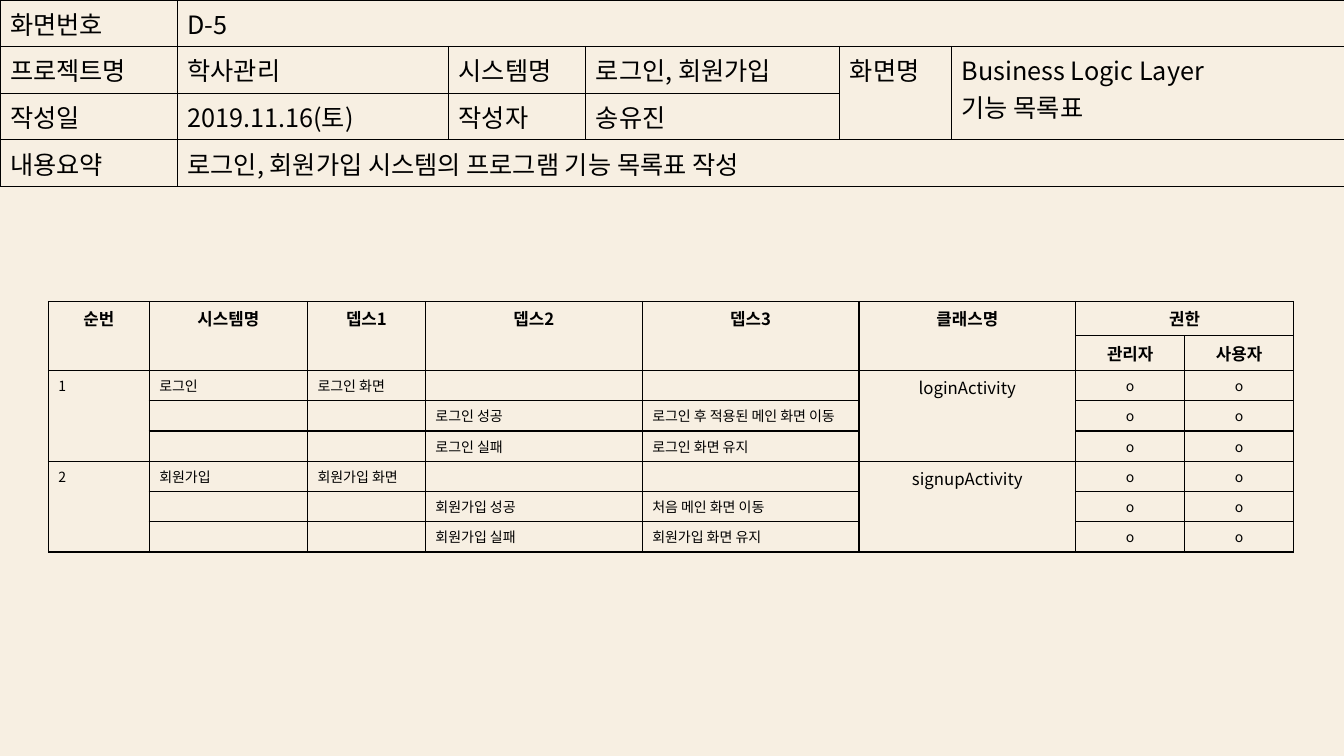
import pptx
import pptx.dml.color
import pptx.enum.text
import pptx.oxml.ns
import pptx.util
from lxml import etree

Inches = pptx.util.Inches
Pt = pptx.util.Pt
CENTER = pptx.enum.text.PP_ALIGN.CENTER
LEFT = pptx.enum.text.PP_ALIGN.LEFT
qn = pptx.oxml.ns.qn

COLORS = {"background": "F7EFE2", "ink": "000000"}
FONT = "Noto Sans CJK KR"


def rgb(name):
    return pptx.dml.color.RGBColor.from_string(COLORS[name])


def write_text(cell, text, size=10, bold=False, align=LEFT):
    """Fill a cell, one paragraph per line; empty cells keep the text size."""
    cell.text_frame.text = text
    for paragraph in cell.text_frame.paragraphs:
        paragraph.alignment = align
        for run in paragraph.runs:
            run.font.size = Pt(size)
            run.font.bold = bold
            run.font.name = FONT
            run.font.color.rgb = rgb("ink")
            etree.SubElement(run.font._element, qn("a:ea"), typeface=FONT)
        if not paragraph.runs:
            etree.SubElement(paragraph._p, qn("a:endParaRPr"), sz=str(size * 100))


def draw_borders(cell, width=1):
    properties = cell._tc.get_or_add_tcPr()
    for position, side in enumerate(("lnL", "lnR", "lnT", "lnB")):
        line = etree.Element(qn(f"a:{side}"), w=str(Pt(width)))
        fill = etree.SubElement(line, qn("a:solidFill"))
        etree.SubElement(fill, qn("a:srgbClr"), val=COLORS["ink"])
        properties.insert(position, line)


def add_grid(slide, left, top, widths, row_height, rows, merges, style):
    """Place a ruled table; style(row, column) gives the text format."""
    grid = slide.shapes.add_table(
        len(rows), len(widths), Inches(left), Inches(top),
        Inches(sum(widths)), Inches(row_height * len(rows))).table
    grid.first_row = grid.horz_banding = False
    for column, width in zip(grid.columns, widths):
        column.width = Inches(width)
    for r, texts in enumerate(rows):
        grid.rows[r].height = Inches(row_height)
        for c, text in enumerate(texts):
            cell = grid.cell(r, c)
            write_text(cell, text, **style(r, c))
            cell.fill.background()
            draw_borders(cell)
    for r, c, row_span, column_span in merges:
        grid.cell(r, c).merge(grid.cell(r + row_span - 1, c + column_span - 1))


def add_document_header(slide, left, top):
    rows = [
        ["화면번호", "D-5", "", "", "", ""],
        ["프로젝트명", "학사관리", "시스템명", "로그인, 회원가입", "화면명",
         "Business Logic Layer\n기능 목록표"],
        ["작성일", "2019.11.16(토)", "작성자", "송유진", "", ""],
        ["내용요약", "로그인, 회원가입 시스템의 프로그램 기능 목록표 작성", "", "", "", ""],
    ]
    merges = [(0, 1, 1, 5), (1, 4, 2, 1), (1, 5, 2, 1), (3, 1, 1, 5)]
    add_grid(slide, left, top, [1.76, 2.69, 1.36, 2.52, 1.11, 3.9], 0.41,
             rows, merges, lambda r, c: {"size": 18})


def add_function_list(slide, left, top):
    rows = [
        ["순번", "시스템명", "뎁스1", "뎁스2", "뎁스3", "클래스명", "권한", ""],
        [""] * 6 + ["관리자", "사용자"],
    ]
    # System, class, and the outcome and next screen of each attempt
    systems = [
        ("로그인", "loginActivity", "로그인 후 적용된 메인 화면 이동"),
        ("회원가입", "signupActivity", "처음 메인 화면 이동"),
    ]
    allowed = ["o", "o"]
    for number, (system, class_name, success_screen) in enumerate(systems, 1):
        rows += [
            [str(number), system, f"{system} 화면", "", "", class_name] + allowed,
            ["", "", "", f"{system} 성공", success_screen, ""] + allowed,
            ["", "", "", f"{system} 실패", f"{system} 화면 유지", ""] + allowed,
        ]
    merges = [(0, c, 2, 1) for c in range(6)] + [(0, 6, 1, 2)]
    merges += [(r, c, 3, 1) for r in (2, 5) for c in (0, 5)]

    def style(r, c):
        if r < 2:
            return {"size": 12, "bold": True, "align": CENTER}
        class_start = c == 5 and rows[r][c]
        return {"size": 12 if class_start else 10,
                "align": CENTER if c >= 5 else LEFT}

    add_grid(slide, left, top, [1, 1.57, 1.17, 2.15, 2.15, 2.15, 1.08, 1.08],
             0.2, rows, merges, style)


def main():
    deck = pptx.Presentation()
    deck.slide_width, deck.slide_height = Inches(13.33), Inches(7.5)
    slide = deck.slides.add_slide(deck.slide_layouts[6])
    slide.background.fill.solid()
    slide.background.fill.fore_color.rgb = rgb("background")
    add_document_header(slide, 0, 0)
    add_function_list(slide, 0.48, 2.99)
    deck.save("out.pptx")


if __name__ == "__main__":
    main()
